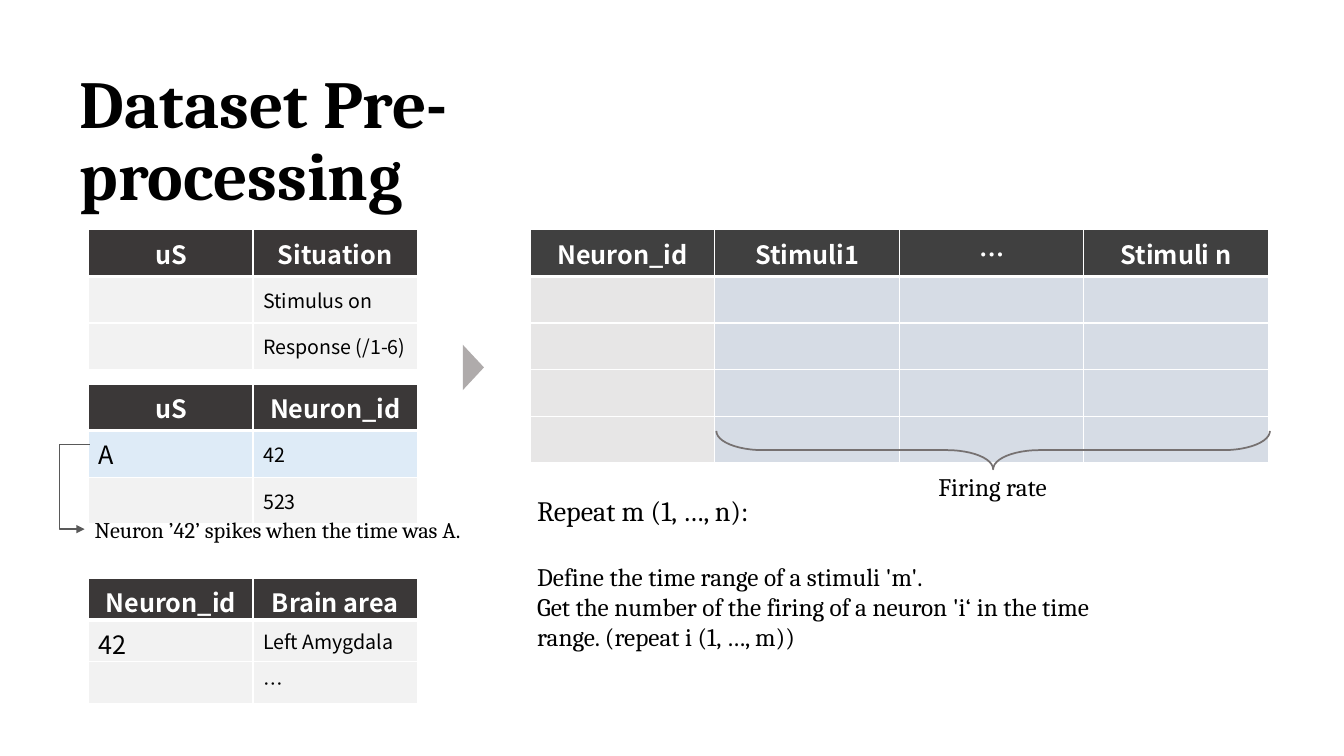
from dataclasses import dataclass

from pptx import Presentation
from pptx.dml.color import RGBColor
from pptx.enum.shapes import MSO_CONNECTOR, MSO_SHAPE
from pptx.enum.text import MSO_ANCHOR, MSO_AUTO_SIZE, PP_ALIGN
from pptx.oxml import parse_xml
from pptx.oxml.ns import nsdecls
from pptx.util import Inches, Pt

COLORS = {
    "black": "000000", "white": "FFFFFF", "header": "3B3838",
    "result_header": "404040", "row": "F2F2F2", "highlight": "DEEBF7",
    "id": "E7E6E6", "rate": "D6DCE5", "brace": "767171",
    "triangle": "AFABAB", "arrow": "595959",
}
SERIF = "Cambria"
SANS = "Noto Sans CJK KR"


@dataclass(frozen=True)
class Row:
    texts: tuple[str, ...]
    fills: tuple[str, ...]


@dataclass(frozen=True)
class Grid:
    left: float
    top: float
    column_width: float
    row_height: float
    header: tuple[str, ...]
    header_fill: str
    rows: tuple[Row, ...]
    bottom_margin: float = 0.05


@dataclass(frozen=True)
class Line:
    text: str
    size: int
    space_before: int = 0


@dataclass(frozen=True)
class Caption:
    left: float
    top: float
    width: float
    height: float
    lines: tuple[Line, ...]
    align: PP_ALIGN = PP_ALIGN.LEFT


def pair(left: str, right: str, fill: str = "row") -> Row:
    return Row((left, right), (fill, fill))


GRIDS = (
    Grid(0.88, 2.28, 1.63, 0.46, ("uS", "Situation"), "header",
         (pair("", "Stimulus on"), pair("", "Response (/1-6)"))),
    Grid(0.88, 3.81, 1.63, 0.46, ("uS", "Neuron_id"), "header",
         (pair("A", "42", "highlight"), pair("", "523"))),
    Grid(5.26, 2.28, 1.83, 0.46, ("Neuron_id", "Stimuli1", "…", "Stimuli n"), "result_header",
         (Row(("",) * 4, ("id", "rate", "rate", "rate")),) * 4),
    Grid(0.88, 5.74, 1.63, 0.4, ("Neuron_id", "Brain area"), "header",
         (pair("42", "Left Amygdala"), pair("", "…")), bottom_margin=0),
)

CAPTIONS = (
    Caption(8.48, 4.63, 2.73, 0.4, (Line("Firing rate", 18),), PP_ALIGN.CENTER),
    Caption(0.84, 5.07, 4.13, 0.37, (Line("Neuron ’42’ spikes when the time was A.", 16),)),
    Caption(5.23, 4.85, 5.96, 1.68, (
        Line("Repeat m (1, …, n):", 20),
        Line("Define the time range of a stimuli 'm'.", 18, 24),
        Line("Get the number of the firing of a neuron 'i‘ in the time range. (repeat i (1, …, m))", 18),
    )),
)


def rgb(name: str) -> RGBColor:
    return RGBColor.from_string(COLORS[name])


def style(paragraph, size: int, face: str, color: str = "black", bold: bool = False) -> None:
    font = paragraph.font
    font.size, font.name, font.bold = Pt(size), face, bold
    font.color.rgb = rgb(color)


def set_borders(cell, bottom_width: int) -> None:
    properties = cell._tc.get_or_add_tcPr()
    widths = {"lnL": 1, "lnR": 1, "lnT": 1, "lnB": bottom_width}
    for position, (edge, width) in enumerate(widths.items()):
        properties.insert(position, parse_xml(
            f'<a:{edge} {nsdecls("a")} w="{Pt(width)}"><a:solidFill>'
            f'<a:srgbClr val="{COLORS["white"]}"/></a:solidFill></a:{edge}>'))


def draw_grid(slide, grid: Grid) -> None:
    header = Row(grid.header, (grid.header_fill,) * len(grid.header))
    rows = (header, *grid.rows)
    columns = len(grid.header)
    table = slide.shapes.add_table(
        len(rows), columns, Inches(grid.left), Inches(grid.top),
        Inches(grid.column_width * columns), Inches(grid.row_height * len(rows))).table
    table.horz_banding = False
    for row_index, row in enumerate(rows):
        table.rows[row_index].height = Inches(grid.row_height)
        is_header = row_index == 0
        for column, (text, fill) in enumerate(zip(row.texts, row.fills)):
            cell = table.cell(row_index, column)
            cell.fill.solid()
            cell.fill.fore_color.rgb = rgb(fill)
            cell.margin_bottom = Inches(grid.bottom_margin)
            set_borders(cell, 3 if is_header else 1)
            cell.text = text
            paragraph = cell.text_frame.paragraphs[0]
            if is_header:
                paragraph.alignment = PP_ALIGN.CENTER
                style(paragraph, 18, SANS, "white", True)
            elif column == 0:
                style(paragraph, 18, SANS)
            else:
                cell.vertical_anchor = MSO_ANCHOR.MIDDLE
                cell.margin_bottom = Inches(0.05)
                style(paragraph, 14, SANS)


def draw_caption(slide, caption: Caption) -> None:
    frame = slide.shapes.add_textbox(
        Inches(caption.left), Inches(caption.top),
        Inches(caption.width), Inches(caption.height)).text_frame
    frame.word_wrap = True
    frame.auto_size = MSO_AUTO_SIZE.SHAPE_TO_FIT_TEXT
    frame.text = "\n".join(line.text for line in caption.lines)
    for paragraph, line in zip(frame.paragraphs, caption.lines):
        paragraph.alignment = caption.align
        paragraph.space_before = Pt(line.space_before)
        style(paragraph, line.size, SERIF)


def draw_title(slide) -> None:
    title = slide.shapes.title
    title.left, title.top = Inches(0.69), Inches(0.69)
    title.width, title.height = Inches(6.8), Inches(1.45)
    frame = title.text_frame
    frame.text = "Dataset Pre-processing"
    frame.word_wrap = True
    frame.auto_size = MSO_AUTO_SIZE.NONE
    frame.vertical_anchor = MSO_ANCHOR.MIDDLE
    paragraph = frame.paragraphs[0]
    paragraph.alignment = PP_ALIGN.LEFT
    paragraph.line_spacing = 0.9
    style(paragraph, 48, SERIF, bold=True)


def draw_marks(slide) -> None:
    brace = slide.shapes.add_shape(
        MSO_SHAPE.LEFT_BRACE, Inches(9.66), Inches(1.72), Inches(0.38), Inches(5.49))
    brace.rotation = 270
    brace.adjustments[0] = 1.21
    brace.shadow.inherit = False
    brace.fill.background()
    brace.line.color.rgb = rgb("brace")
    brace.line.width = Pt(1.25)

    triangle = slide.shapes.add_shape(
        MSO_SHAPE.ISOSCELES_TRIANGLE, Inches(4.47), Inches(3.54), Inches(0.45), Inches(0.21))
    triangle.rotation = 90
    triangle.shadow.inherit = False
    triangle.fill.solid()
    triangle.fill.fore_color.rgb = rgb("triangle")
    triangle.line.fill.background()

    arrow = slide.shapes.add_connector(
        MSO_CONNECTOR.ELBOW, Inches(0.89), Inches(4.41), Inches(0.84), Inches(5.25))
    arrow.line.color.rgb = rgb("arrow")
    arrow.line.width = Pt(1)
    properties = arrow._element.spPr
    properties.prstGeom.get_or_add_avLst().append(
        parse_xml(f'<a:gd {nsdecls("a")} name="adj1" fmla="val 600000"/>'))
    properties.find("{*}ln").append(parse_xml(f'<a:tailEnd {nsdecls("a")} type="triangle"/>'))
    properties.append(parse_xml(f'<a:effectLst {nsdecls("a")}/>'))


def main() -> None:
    presentation = Presentation()
    presentation.slide_width, presentation.slide_height = Inches(13.33), Inches(7.5)
    slide = presentation.slides.add_slide(presentation.slide_layouts[5])
    draw_title(slide)
    for grid in GRIDS:
        draw_grid(slide, grid)
    draw_marks(slide)
    for caption in CAPTIONS:
        draw_caption(slide, caption)
    presentation.save("out.pptx")


if __name__ == "__main__":
    main()
